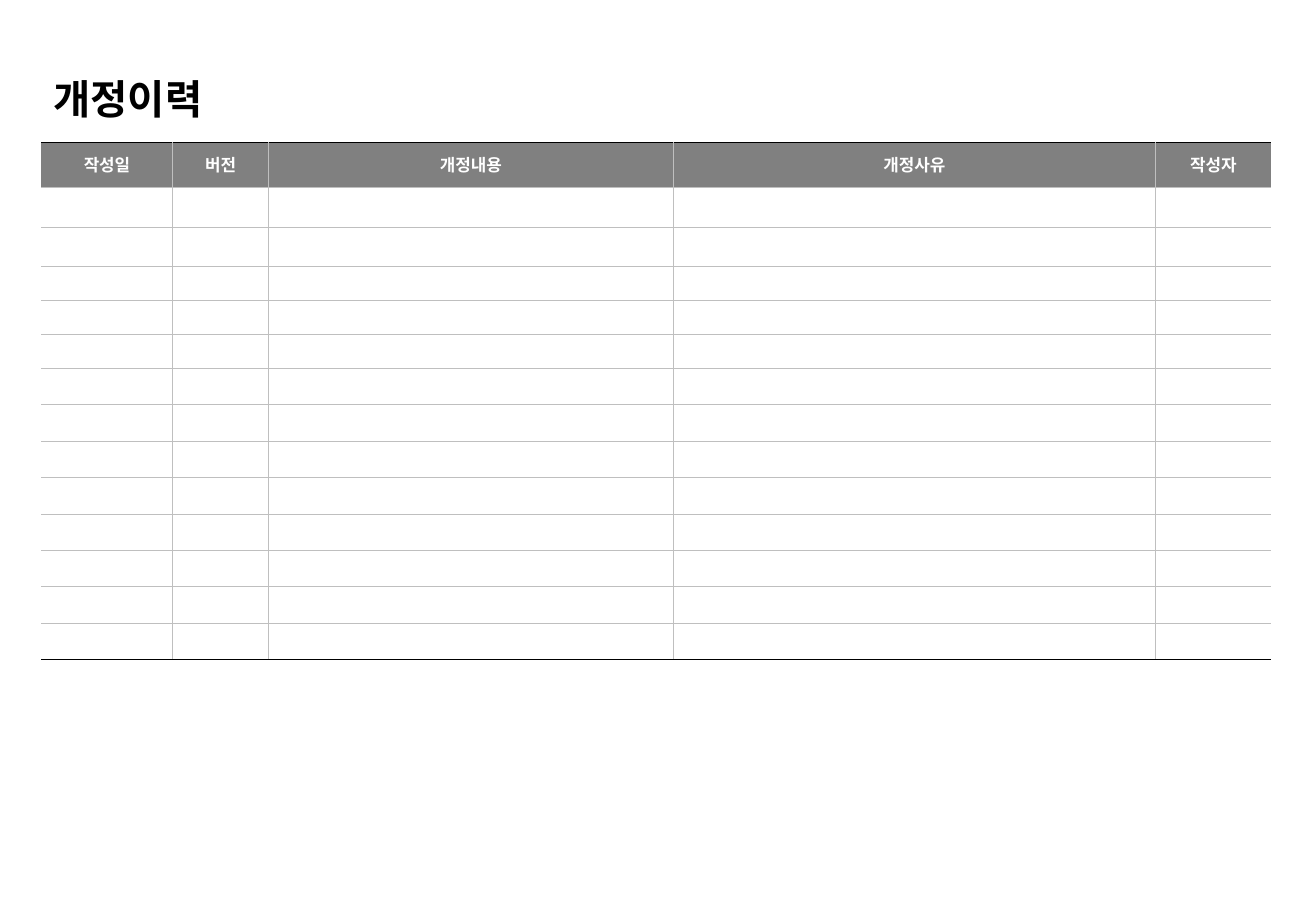
from dataclasses import dataclass

from lxml import etree
from pptx import Presentation
from pptx.dml.color import RGBColor
from pptx.enum.text import MSO_ANCHOR, PP_ALIGN
from pptx.oxml.ns import qn
from pptx.util import Inches, Pt

MIDDLE = MSO_ANCHOR.MIDDLE
CENTER = PP_ALIGN.CENTER


@dataclass(frozen=True)
class Theme:
    ink: str = "000000"
    header_fill: str = "808080"
    header_text: str = "FFFFFF"
    grid: str = "BFBFBF"
    title_font: str = "Noto Sans CJK KR"
    header_font: str = "Arial"
    title_size: float = 24
    header_size: float = 10
    body_size: float = 8
    edge_width: float = 0.75
    grid_width: float = 0.25


THEME = Theme()


def add_run(paragraph, text, font, size, color):
    run = paragraph.add_run()
    run.text = text
    run.font.name = font
    run.font.size = Pt(size)
    run.font.bold = True
    run.font.color.rgb = RGBColor.from_string(color)
    east_asian = etree.SubElement(run.font._element, qn("a:ea"))
    east_asian.set("typeface", THEME.title_font)


def add_border(cell, side, color, width):
    """Draw one cell edge; without a color the edge stays open."""
    line = etree.SubElement(cell._tc.get_or_add_tcPr(), qn(f"a:ln{side}"))
    line.set("w", str(Pt(width)))
    if color:
        fill = etree.SubElement(line, qn("a:solidFill"))
        etree.SubElement(fill, qn("a:srgbClr")).set("val", color)
    else:
        etree.SubElement(line, qn("a:noFill"))


prs = Presentation()
prs.slide_width, prs.slide_height = Inches(10.83), Inches(7.5)
slide = prs.slides.add_slide(prs.slide_layouts[6])

# Revision table
columns = [("작성일", 1.08), ("버전", 0.79), ("개정내용", 3.33),
           ("개정사유", 3.97), ("작성자", 0.95)]
row_heights = [0.37, 0.33, 0.32] + [0.28] * 3 + [0.3] * 8
last_row, last_column = len(row_heights) - 1, len(columns) - 1

history_frame = slide.shapes.add_table(
    len(row_heights), len(columns), Inches(0.34), Inches(1.17),
    Inches(sum(width for _, width in columns)), Inches(sum(row_heights)))
history = history_frame.table
history.first_row = history.horz_banding = False

for column, (_, width) in zip(history.columns, columns):
    column.width = Inches(width)

for r, height in enumerate(row_heights):
    history.rows[r].height = Inches(height)
    for c, (heading, _) in enumerate(columns):
        cell = history.cell(r, c)
        cell.vertical_anchor = MIDDLE
        paragraph = cell.text_frame.paragraphs[0]
        paragraph.alignment = CENTER

        # Open sides, dark top and bottom edges, light inner grid
        grid = (THEME.grid, THEME.grid_width)
        edge = (THEME.ink, THEME.edge_width)
        open_side = (None, THEME.grid_width)
        add_border(cell, "L", *(open_side if c == 0 else grid))
        add_border(cell, "R", *(open_side if c == last_column else grid))
        add_border(cell, "T", *(edge if r == 0 else grid))
        add_border(cell, "B", *(edge if r == last_row else grid))

        if r == 0:
            cell.fill.solid()
            cell.fill.fore_color.rgb = RGBColor.from_string(THEME.header_fill)
            add_run(paragraph, heading, THEME.header_font,
                    THEME.header_size, THEME.header_text)
        else:
            # Small type keeps the empty rows at their set height
            cell.fill.background()
            end = etree.SubElement(paragraph._p, qn("a:endParaRPr"))
            end.set("sz", str(int(THEME.body_size * 100)))

# Title
title = slide.shapes.add_textbox(Inches(0.34), Inches(0.6),
                                 Inches(4.88), Inches(0.42))
title.text_frame.word_wrap = True
title.text_frame.vertical_anchor = MIDDLE
add_run(title.text_frame.paragraphs[0], "개정이력", THEME.title_font,
        THEME.title_size, THEME.ink)

prs.save("out.pptx")
